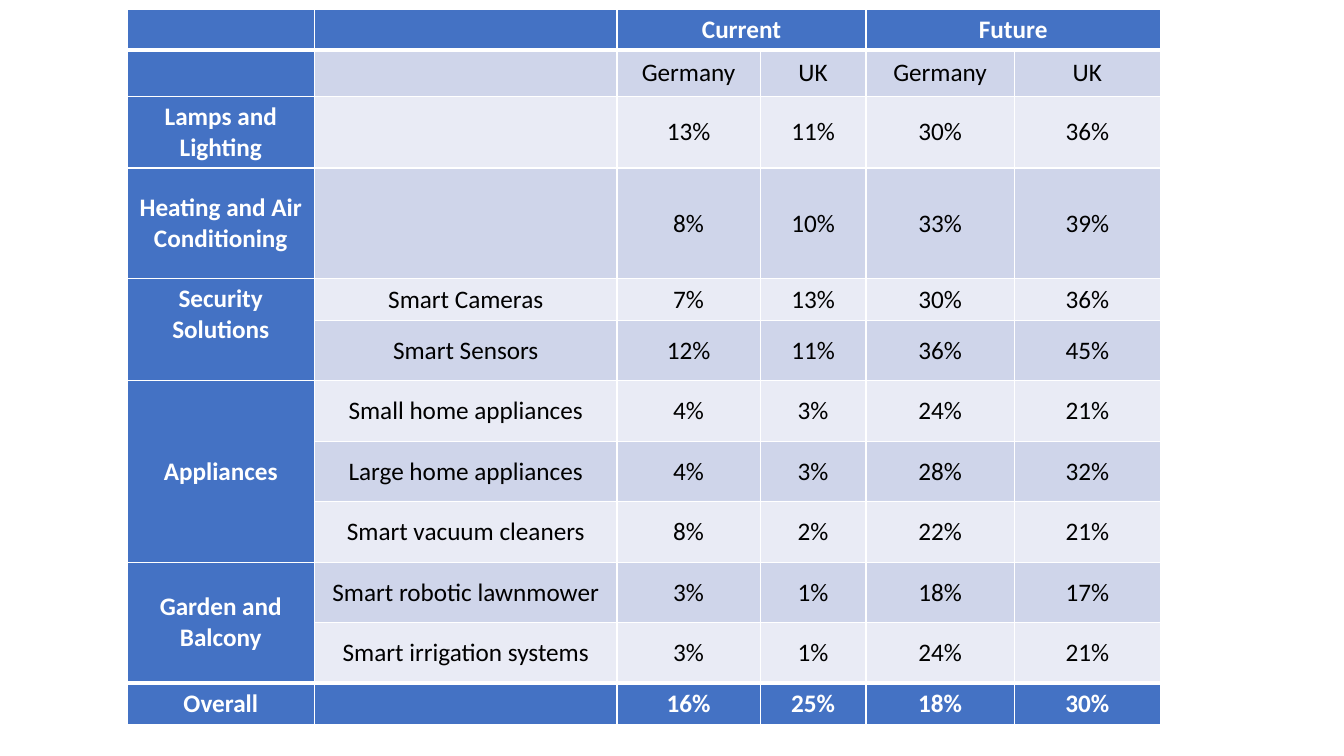
import pptx
import pptx.dml.color
import pptx.enum.text
import pptx.oxml
import pptx.oxml.ns
import pptx.util

COLORS = {"header": "4472C4", "dark_band": "CFD5EA", "light_band": "E9EBF5",
          "white": "FFFFFF", "black": "000000"}
TABLE_LEFT, TABLE_TOP = 1.26, 0.09
COLUMN_WIDTHS = [1.86, 3, 1.42, 1.05, 1.47, 1.45]
ROW_HEIGHTS = [0.4, 0.46, 0.71, 1.1, 0.41] + [0.6] * 6 + [0.41]
ROWS = [
    ["", "", "Current", "", "Future", ""],
    ["", "", "Germany", "UK", "Germany", "UK"],
    ["Lamps and Lighting", "", "13%", "11%", "30%", "36%"],
    ["Heating and Air Conditioning", "", "8%", "10%", "33%", "39%"],
    ["Security Solutions", "Smart Cameras", "7%", "13%", "30%", "36%"],
    ["", "Smart Sensors", "12%", "11%", "36%", "45%"],
    ["Appliances", "Small home appliances", "4%", "3%", "24%", "21%"],
    ["", "Large home appliances", "4%", "3%", "28%", "32%"],
    ["", "Smart vacuum cleaners", "8%", "2%", "22%", "21%"],
    ["Garden and Balcony", "Smart robotic lawnmower", "3%", "1%", "18%", "17%"],
    ["", "Smart irrigation systems", "3%", "1%", "24%", "21%"],
    ["Overall", "", "16%", "25%", "18%", "30%"],
]
LAST_ROW = len(ROWS) - 1
SECURITY_CELL = (4, 0)
# First and last cell of each merged area, as (row, column)
MERGED_AREAS = [((0, 2), (0, 3)), ((0, 4), (0, 5)), (SECURITY_CELL, (5, 0)),
                ((6, 0), (8, 0)), ((9, 0), (10, 0))]


def rgb(name):
    return pptx.dml.color.RGBColor.from_string(COLORS[name])


def set_attributes(target, values):
    for name, value in values.items():
        setattr(target, name, value)


def add_borders(cell, widths):
    """Draw white borders; widths maps the sides L, R, T and B to points."""
    properties = cell._tc.get_or_add_tcPr()
    for position, (side, width) in enumerate(widths.items()):
        border = pptx.oxml.parse_xml(
            f'<a:ln{side} {pptx.oxml.ns.nsdecls("a")} w="{pptx.util.Pt(width)}">'
            f'<a:solidFill><a:srgbClr val="{COLORS["white"]}"/></a:solidFill>'
            f'</a:ln{side}>')
        properties.insert(position, border)


def write_text(cell, text, is_header):
    cell.vertical_anchor = pptx.enum.text.MSO_ANCHOR.MIDDLE
    paragraph = cell.text_frame.paragraphs[0]
    paragraph.alignment = pptx.enum.text.PP_ALIGN.CENTER
    if text:
        run = paragraph.add_run()
        run.text = text
        set_attributes(run.font, {"name": "Calibri", "size": pptx.util.Pt(18),
                                  "bold": is_header})
        run.font.color.rgb = rgb("white" if is_header else "black")


def format_cell(cell, row, column, text):
    is_header = row in (0, LAST_ROW) or column == 0
    band = "dark_band" if row % 2 else "light_band"
    cell.fill.solid()
    cell.fill.fore_color.rgb = rgb("header" if is_header else band)
    write_text(cell, text, is_header)
    add_borders(cell, {"L": 1, "R": 1,
                       "T": 3 if row in (1, LAST_ROW) else 1,
                       "B": 3 if row in (0, LAST_ROW - 1) else 1})


def add_adoption_table(slide):
    lengths = [TABLE_LEFT, TABLE_TOP, sum(COLUMN_WIDTHS), sum(ROW_HEIGHTS)]
    table = slide.shapes.add_table(len(ROWS), len(COLUMN_WIDTHS),
                                   *map(pptx.util.Inches, lengths)).table
    set_attributes(table, {"horz_banding": False, "first_col": True, "last_row": True})
    for column, width in zip(table.columns, COLUMN_WIDTHS):
        column.width = pptx.util.Inches(width)
    for table_row, height in zip(table.rows, ROW_HEIGHTS):
        table_row.height = pptx.util.Inches(height)
    for row, texts in enumerate(ROWS):
        for column, text in enumerate(texts):
            format_cell(table.cell(row, column), row, column, text)
    for first, last in MERGED_AREAS:
        table.cell(*first).merge(table.cell(*last))
    table.cell(*SECURITY_CELL).margin_bottom = pptx.util.Inches(0.35)


def main():
    presentation = pptx.Presentation()
    set_attributes(presentation, {"slide_width": pptx.util.Inches(13.33),
                                  "slide_height": pptx.util.Inches(7.5)})
    slide = presentation.slides.add_slide(presentation.slide_layouts[6])
    add_adoption_table(slide)
    presentation.save("out.pptx")


if __name__ == "__main__":
    main()
